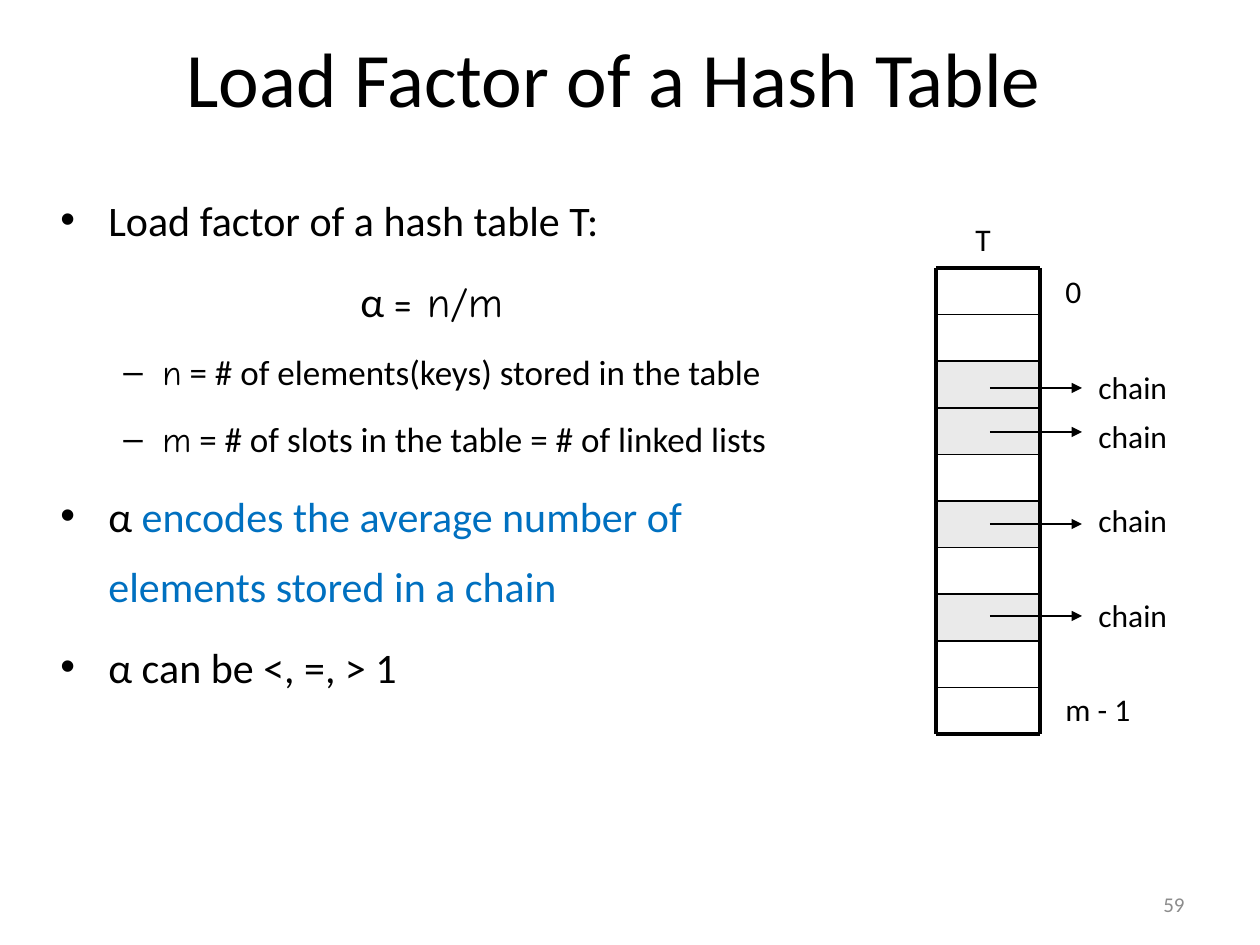
from lxml import etree
from pptx import Presentation
from pptx import util as u
from pptx.dml.color import RGBColor
from pptx.enum import shapes, text
from pptx.oxml.ns import qn

BLACK, BLUE, GRAY, SHADE = "000000", "0070C0", "8C8C8C", "EAEAEA"
SANS, COMIC = "Calibri", "Comic Neue"

TITLE = "Load Factor of a Hash Table"
PAGE_NUMBER = "59"
LEVELS = {
    "point": dict(bullet="•", margin=48, indent=-48, size=24, before=5.8),
    "formula": dict(bullet=None, margin=300, indent=0, size=24, before=5.8),
    "detail": dict(bullet="–", margin=102, indent=-39, size=20, before=4.8),
}
BODY = [
    ("point", [("Load factor of a hash table T:", SANS, BLACK)]),
    ("formula", [("α ", SANS, BLACK), ("= n/m", COMIC, BLACK)]),
    ("detail", [("n", COMIC, BLACK),
                (" = # of elements(keys) stored in the table", SANS, BLACK)]),
    ("detail", [("m", COMIC, BLACK),
                (" = # of slots in the table = # of linked lists", SANS, BLACK)]),
    ("point", [("α ", SANS, BLACK),
               ("encodes the average number of elements stored in a chain", SANS, BLUE)]),
    ("point", [("α can be <, =, > 1", SANS, BLACK)]),
]

SLOTS = 10
LEFT, RIGHT, TOP, BOTTOM = 936, 1040, 268, 734
CHAINED_SLOTS = [2, 3, 5, 7]
ARROW_START, ARROW_END = 990, 1082
ARROW_YS = [388, 432, 524, 616]
LABELS = [("0", 1053, 266, 43), ("m - 1", 1053, 684, 97), ("T", 963, 214, 44)]
LABELS += [("chain", 1086, y, 101) for y in (362, 411, 495, 590)]


def px(value):
    return u.Emu(round(value * 914400 / 126))


def color(value):
    return RGBColor.from_string(value)


def add_span(para, words, font=SANS, size=18, fill=BLACK):
    span = para.add_run()
    span.text = words
    span.font.name = font
    span.font.size = u.Pt(size)
    span.font.color.rgb = color(fill)


def add_box(left, top, width, height, anchor=text.MSO_ANCHOR.TOP, wrap=True):
    frame = page.shapes.add_textbox(px(left), px(top), px(width), px(height)).text_frame
    frame.word_wrap = wrap
    frame.vertical_anchor = anchor
    return frame


def add_text(words, left, top, width, height, align=text.PP_ALIGN.LEFT,
             anchor=text.MSO_ANCHOR.TOP, wrap=True, **style):
    frame = add_box(left, top, width, height, anchor, wrap)
    para = frame.paragraphs[0]
    para.alignment = align
    add_span(para, words, **style)


def add_line(x1, y1, x2, y2, weight, arrow=False):
    line = page.shapes.add_connector(
        shapes.MSO_CONNECTOR.STRAIGHT, px(x1), px(y1), px(x2), px(y2))
    line.line.color.rgb = color(BLACK)
    line.line.width = u.Pt(weight)
    if arrow:
        etree.SubElement(line.line._get_or_add_ln(), qn("a:tailEnd"), type="triangle")
    etree.SubElement(line._element.spPr, qn("a:effectLst"))


def add_body():
    frame = add_box(48, 168, 804, 743)
    for index, (level, spans) in enumerate(BODY):
        look = LEVELS[level]
        para = frame.add_paragraph() if index else frame.paragraphs[0]
        props = para._p.get_or_add_pPr()
        props.set("marL", str(px(look["margin"])))
        props.set("indent", str(px(look["indent"])))
        if look["bullet"]:
            etree.SubElement(props, qn("a:buFont"), typeface="Arial")
            etree.SubElement(props, qn("a:buChar"), char=look["bullet"])
        para.line_spacing = 1.4
        if index:
            para.space_before = u.Pt(look["before"])
        for words, font, fill in spans:
            add_span(para, words, font, look["size"], fill)


def add_hash_table():
    step = (BOTTOM - TOP) / SLOTS
    for slot in CHAINED_SLOTS:
        cell = page.shapes.add_shape(
            shapes.MSO_SHAPE.RECTANGLE, px(LEFT), px(TOP + slot * step),
            px(RIGHT - LEFT), px(step))
        cell.shadow.inherit = False
        cell.fill.solid()
        cell.fill.fore_color.rgb = color(SHADE)
        cell.line.fill.background()
    for row in range(SLOTS + 1):
        y = TOP + row * step
        add_line(LEFT, y, RIGHT, y, 2.25 if row in (0, SLOTS) else 1)
    for x in (LEFT, RIGHT):
        add_line(x, TOP, x, BOTTOM, 2.25)
    for y in ARROW_YS:
        add_line(ARROW_START, y, ARROW_END, y, 0.75, arrow=True)
    for words, left, top, width in LABELS:
        add_text(words, left, top, width, 50, wrap=False)


deck = Presentation()
deck.slide_width, deck.slide_height = px(1260), px(945)
page = deck.slides.add_slide(deck.slide_layouts[6])
add_text(PAGE_NUMBER, 903, 882, 294, 44, align=text.PP_ALIGN.RIGHT,
         anchor=text.MSO_ANCHOR.MIDDLE, size=12, fill=GRAY)
add_text(TITLE, 47, 14, 1134, 125, align=text.PP_ALIGN.CENTER,
         anchor=text.MSO_ANCHOR.MIDDLE, size=44)
add_body()
add_hash_table()
deck.save("out.pptx")
